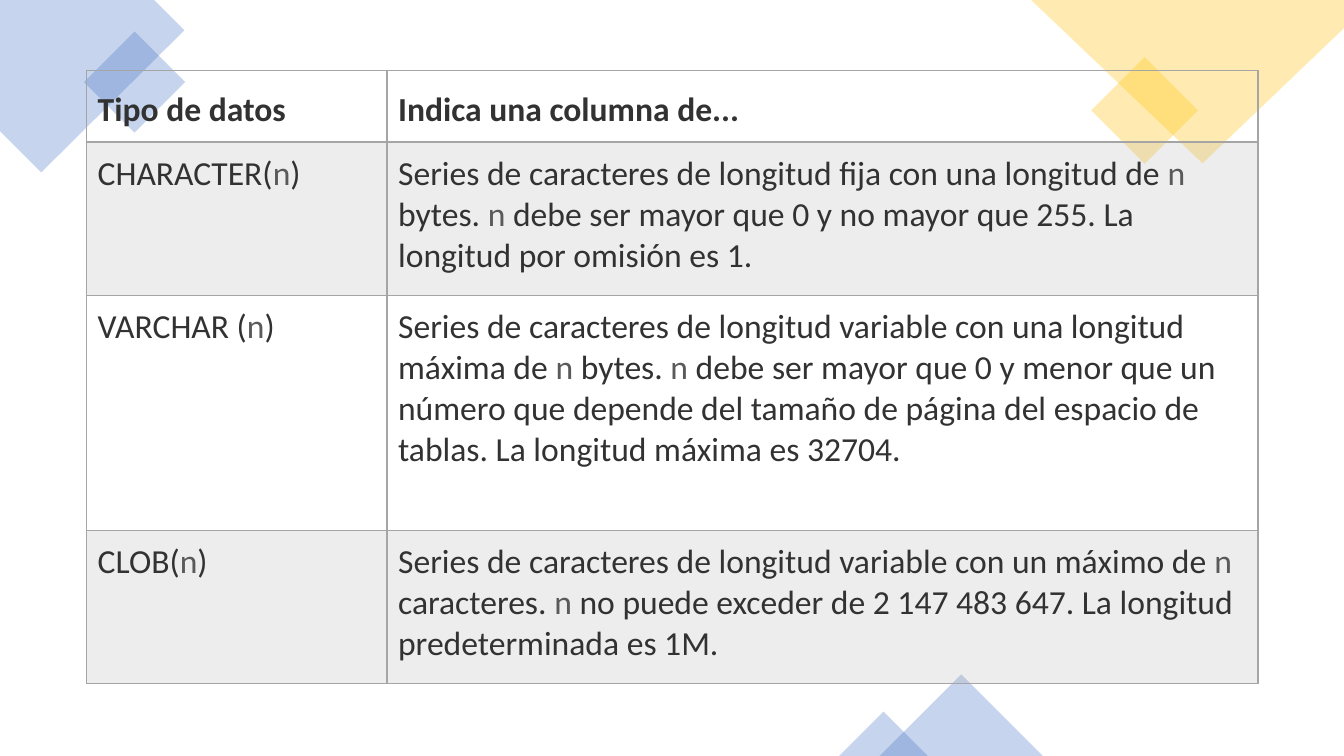
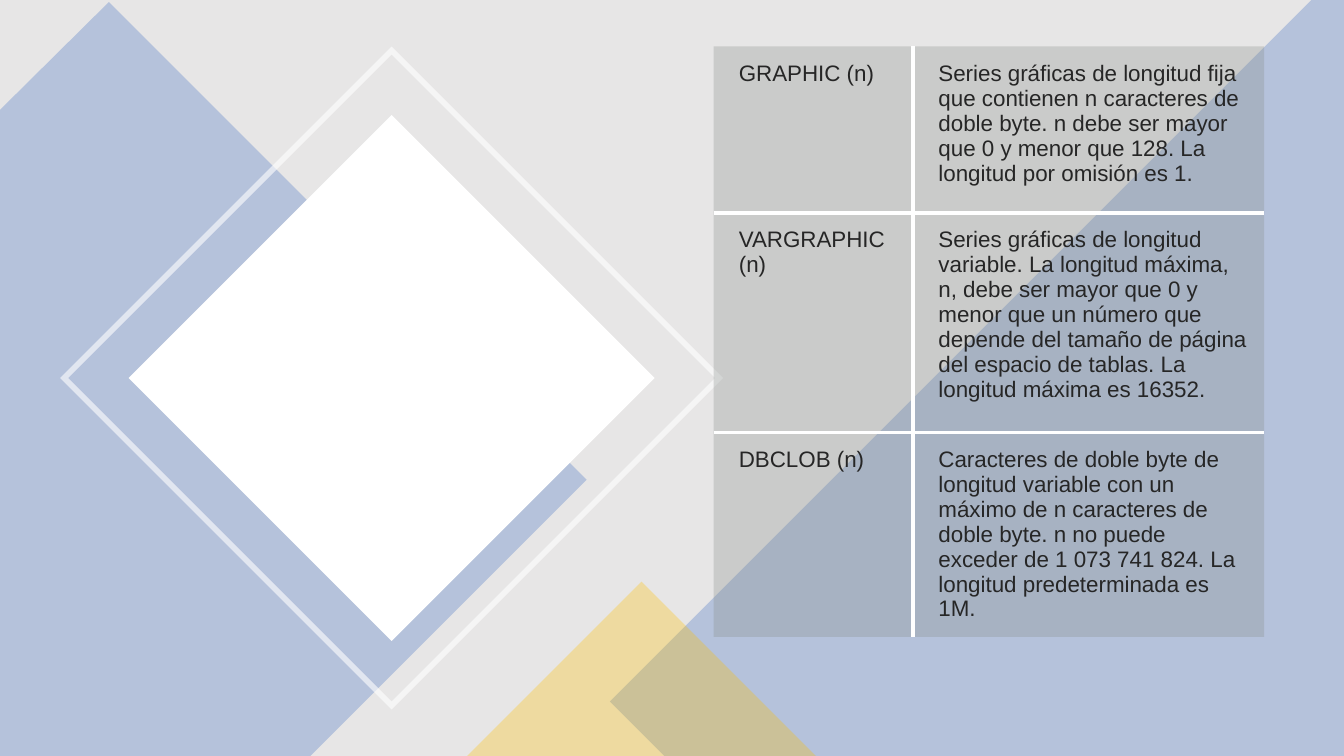
from dataclasses import dataclass

from lxml import etree
from pptx import Presentation
from pptx import util as u
from pptx.dml import color
from pptx.enum import shapes, text
from pptx.oxml import ns

# The grid has square cells of a tenth of an inch
COLUMNS, ROWS = 133.33, 75


@dataclass(frozen=True)
class Theme:
    blue: str = "4472C4"
    gold: str = "FFC000"
    white: str = "FFFFFF"
    backdrop: str = "E7E6E6"
    rule: str = "A5A5A5"
    band: str = "A5A5A5"
    panel: str = "878E8B"
    ink: str = "323232"
    muted: str = "5A5A5A"
    dark: str = "262626"
    tint: int = 30
    band_tint: int = 20
    frame_tint: int = 60
    large: int = 24
    small: int = 16
    large_font: str = "Calibri"
    small_font: str = "Arial"


THEME = Theme()

# Asterisks enclose the parts set in the muted colour
CHARACTER_TYPES = [
    ("Tipo de datos", "Indica una columna de..."),
    ("CHARACTER(*n*)",
     "Series de caracteres de longitud fija con una longitud de *n* bytes. "
     "*n* debe ser mayor que 0 y no mayor que 255. La longitud por omisión es 1."),
    ("VARCHAR (*n*)",
     "Series de caracteres de longitud variable con una longitud máxima de *n* bytes. "
     "*n* debe ser mayor que 0 y menor que un número que depende del tamaño de página "
     "del espacio de tablas. La longitud máxima es 32704."),
    ("CLOB(*n*)",
     "Series de caracteres de longitud variable con un máximo de *n* caracteres. "
     "*n* no puede exceder de 2 147 483 647. La longitud predeterminada es 1M."),
]
GRAPHIC_TYPES = [
    ("GRAPHIC (n)",
     "Series gráficas de longitud fija que contienen n caracteres de doble byte. "
     "n debe ser mayor que 0 y menor que 128. La longitud por omisión es 1."),
    ("VARGRAPHIC (n)",
     "Series gráficas de longitud variable. La longitud máxima, n, debe ser mayor que 0 "
     "y menor que un número que depende del tamaño de página del espacio de tablas. "
     "La longitud máxima es 16352."),
    ("DBCLOB (n)",
     "Caracteres de doble byte de longitud variable con un máximo de n caracteres de "
     "doble byte. n no puede exceder de 1 073 741 824. La longitud predeterminada es 1M."),
]


def grid(count):
    return u.Inches(count / 10)


# Fills and outlines
def rgb(value):
    return color.RGBColor.from_string(value)


def paint(fill, owner, value, opacity=100):
    """Fill solidly; owner is the XML element that holds the fill."""
    fill.solid()
    fill.fore_color.rgb = rgb(value)
    if opacity < 100:
        tone = owner.find(ns.qn("a:solidFill")).find(ns.qn("a:srgbClr"))
        etree.SubElement(tone, ns.qn("a:alpha"), val=str(opacity * 1000))


def finish(shape, value, opacity):
    shape.shadow.inherit = False
    shape.line.fill.background()
    paint(shape.fill, shape.element.spPr, value, opacity)


# Decorative shapes
def add_polygon(slide, points, value):
    corners = [(grid(x), grid(y)) for x, y in points]
    builder = slide.shapes.build_freeform(*corners[0])
    builder.add_line_segments(corners[1:], close=True)
    finish(builder.convert_to_shape(), value, THEME.tint)


def add_tilted_square(slide, centre, side, value, opacity=THEME.tint, border=None):
    kind = shapes.MSO_SHAPE.FRAME if border else shapes.MSO_SHAPE.RECTANGLE
    left, top = (grid(middle - side / 2) for middle in centre)
    shape = slide.shapes.add_shape(kind, left, top, grid(side), grid(side))
    shape.rotation = 45
    if border:
        shape.adjustments[0] = border
    finish(shape, value, opacity)


def add_peak(slide, centre, height, value):
    """A right-angled triangle that stands on the lower edge of the slide."""
    shape = slide.shapes.add_shape(
        shapes.MSO_SHAPE.ISOSCELES_TRIANGLE, grid(centre - height),
        grid(ROWS - height), grid(2 * height), grid(height))
    finish(shape, value, THEME.tint)


# Tables
def write_text(frame, content, *, size, font, ink, muted=None, bold=False):
    paragraph = frame.paragraphs[0]
    for index, part in enumerate(content.split("*")):
        if part:
            run = paragraph.add_run()
            run.text = part
            run.font.size, run.font.name, run.font.bold = u.Pt(size), font, bold
            run.font.color.rgb = rgb(muted if index % 2 else ink)


def set_borders(cell, value, widths):
    """Widths in points for left, right, top and bottom; 0 hides the edge."""
    properties = cell._tc.get_or_add_tcPr()
    for index, (side, width) in enumerate(zip("LRTB", widths)):
        line = etree.Element(ns.qn(f"a:ln{side}"), w=str(u.Pt(width)))
        if width:
            fill = etree.SubElement(line, ns.qn("a:solidFill"))
            etree.SubElement(fill, ns.qn("a:srgbClr"), val=value)
        else:
            etree.SubElement(line, ns.qn("a:noFill"))
        properties.insert(index, line)


def add_table(slide, content, origin, widths, heights, margins, header=False):
    """Place an unbanded table; yield row, column, cell and text of each cell."""
    left, top = origin
    table = slide.shapes.add_table(
        len(heights), len(widths), grid(left), grid(top),
        grid(sum(widths)), grid(sum(heights))).table
    table.first_row, table.horz_banding = header, False
    for column, width in zip(table.columns, widths):
        column.width = grid(width)
    for row, height in zip(table.rows, heights):
        row.height = grid(height)
    for row, entries in enumerate(content):
        for column, entry in enumerate(entries):
            cell = table.cell(row, column)
            (cell.margin_left, cell.margin_top,
             cell.margin_right, cell.margin_bottom) = map(grid, margins)
            yield row, column, cell, entry


def add_ruled_table(slide, content, origin, widths, heights):
    cells = add_table(slide, content, origin, widths, heights, [1.1] * 4, header=True)
    for row, _, cell, entry in cells:
        header = row == 0
        write_text(cell.text_frame, entry, size=THEME.large, font=THEME.large_font,
                   ink=THEME.ink, muted=THEME.muted, bold=header)
        if header:
            cell.vertical_anchor = text.MSO_ANCHOR.BOTTOM
        if row % 2:
            paint(cell.fill, cell._tc.get_or_add_tcPr(), THEME.band, THEME.band_tint)
        else:
            cell.fill.background()
        set_borders(cell, THEME.rule, (1, 1, 2 if row == 1 else 1, 2 if header else 1))


def add_panel_table(slide, content, origin, widths, heights):
    last_row, last_column = len(heights) - 1, len(widths) - 1
    cells = add_table(slide, content, origin, widths, heights, (2.5, 1.5, 1.5, 1.5))
    for row, column, cell, entry in cells:
        write_text(cell.text_frame, entry, size=THEME.small,
                   font=THEME.small_font, ink=THEME.dark)
        paint(cell.fill, cell._tc.get_or_add_tcPr(), THEME.panel, THEME.tint)
        inner = (column > 0, column < last_column, row > 0, row < last_row)
        set_borders(cell, THEME.white, [3 * edge for edge in inner])


# Slides
def add_slide(presentation, background):
    slide = presentation.slides.add_slide(presentation.slide_layouts[6])
    slide.background.fill.solid()
    slide.background.fill.fore_color.rgb = rgb(background)
    return slide


def build_character_slide(presentation):
    slide = add_slide(presentation, THEME.white)
    add_polygon(slide, [(15.3, 0), (0, 0), (0, 13), (4.1, 17.1), (18.3, 3)], THEME.blue)
    add_tilted_square(slide, (13.35, 8.15), 7.1, THEME.blue)
    add_tilted_square(slide, (113.55, 10.95), 7.5, THEME.gold)
    add_polygon(slide, [(COLUMNS, 0), (102.3, 0), (119.3, 16.2), (COLUMNS, 2.8)], THEME.gold)
    add_peak(slide, 95.35, 8.1, THEME.blue)
    add_peak(slide, 87.65, 4.4, THEME.blue)
    add_ruled_table(slide, CHARACTER_TYPES, (8.6, 7), (29.8, 86.4), (7.1, 15.2, 23.3, 15.2))


def build_graphic_slide(presentation):
    slide = add_slide(presentation, THEME.backdrop)
    add_polygon(slide, [(10.8, 0.2), (58.2, 47.6), (30.8, ROWS), (0, ROWS), (0, 10.9)],
                THEME.blue)
    add_polygon(slide, [(130.1, 0), (COLUMNS, 0), (COLUMNS, ROWS), (65.9, ROWS), (60.5, 69.6)],
                THEME.blue)
    add_peak(slide, 63.65, 17.3, THEME.gold)
    centre = (38.85, ROWS / 2)
    add_tilted_square(slide, centre, 36.9, THEME.white, opacity=100)
    add_tilted_square(slide, centre, 46.5, THEME.white, THEME.frame_tint, border=0.012)
    add_panel_table(slide, GRAPHIC_TYPES, (70.8, 4.6), (19.8, 34.8), (16.5, 21.8, 19.1))


def main():
    presentation = Presentation()
    presentation.slide_width, presentation.slide_height = grid(COLUMNS), grid(ROWS)
    build_character_slide(presentation)
    build_graphic_slide(presentation)
    presentation.save("out.pptx")


if __name__ == "__main__":
    main()
